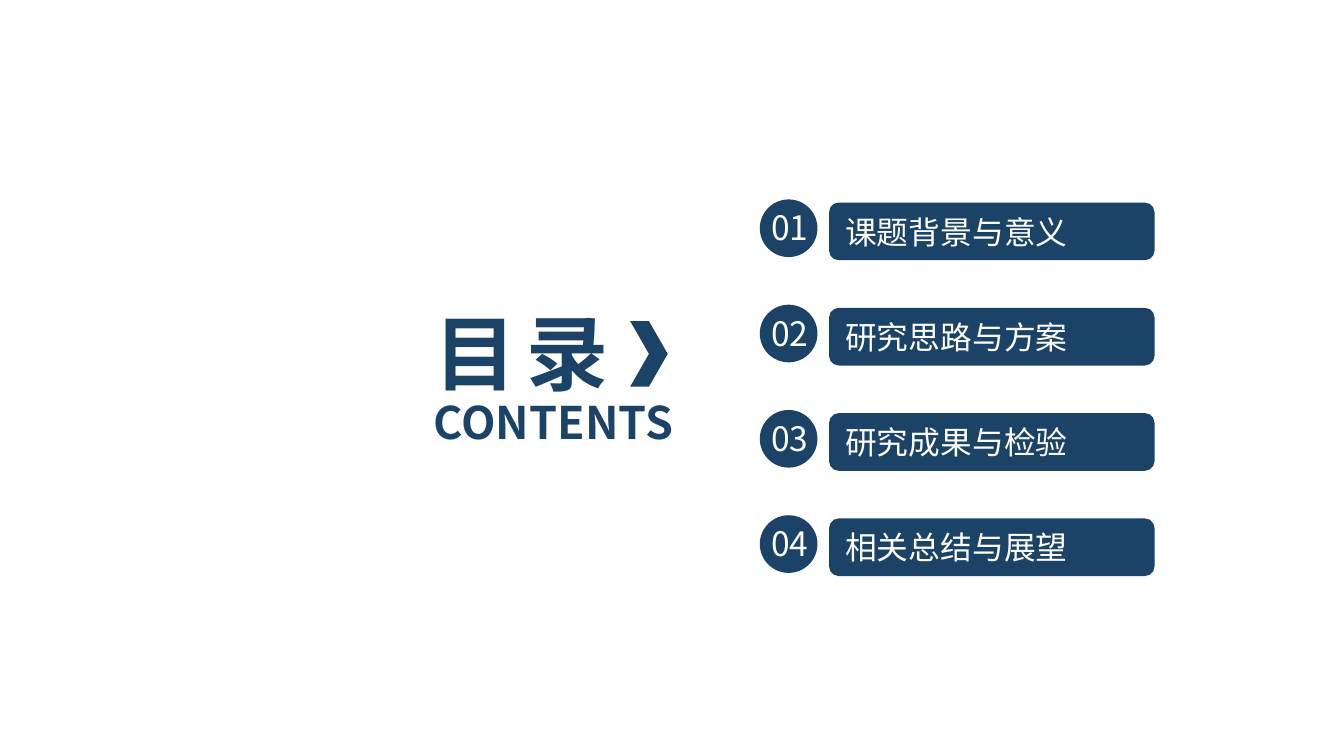
import typing
from dataclasses import dataclass

import lxml.etree
import pptx
import pptx.dml.color
import pptx.enum.shapes
import pptx.enum.text
import pptx.oxml.ns
import pptx.util

Cm = pptx.util.Cm
ALIGN = pptx.enum.text.PP_ALIGN
SHAPE = pptx.enum.shapes.MSO_SHAPE


@dataclass(frozen=True)
class Theme:
    navy: pptx.dml.color.RGBColor = pptx.dml.color.RGBColor(0x1B, 0x43, 0x67)
    white: pptx.dml.color.RGBColor = pptx.dml.color.RGBColor(0xFF, 0xFF, 0xFF)
    font: str = "Noto Sans CJK SC"
    title_size: float = 44
    subtitle_size: float = 24
    number_size: float = 18
    topic_size: float = 17


@dataclass(frozen=True)
class Area:
    """A rectangle in centimetres."""
    left: float
    top: float
    width: float
    height: float

    def lowered(self, distance: float) -> "Area":
        return Area(self.left, self.top + distance, self.width, self.height)

    def lengths(self) -> tuple:
        return Cm(self.left), Cm(self.top), Cm(self.width), Cm(self.height)


@dataclass(frozen=True)
class Topic:
    number: str
    name: str


THEME = Theme()
TOPICS = [
    Topic("01", "课题背景与意义"),
    Topic("02", "研究思路与方案"),
    Topic("03", "研究成果与检验"),
    Topic("04", "相关总结与展望"),
]
TOPIC_STEP = 1.99
BAR = Area(15.67, 3.83, 6.15, 1.09)
CIRCLE = Area(14.36, 3.77, 1.09, 1.09)
NUMBER = Area(14.27, 3.79, 1.32, 1.02)
TITLE = Area(7.95, 5.59, 5.97, 2.13)
SUBTITLE = Area(7.95, 7.34, 5.87, 1.27)
CHEVRON = Area(11.91, 6.07, 0.71, 1.24)


def write(box: typing.Any, text: str, size: float, color: typing.Any,
          bold: bool = False, align: typing.Any = ALIGN.LEFT,
          spacing: float = 0) -> None:
    """Put one formatted line of text into a box."""
    frame = box.text_frame
    frame_format = {
        "word_wrap": True,
        "auto_size": pptx.enum.text.MSO_AUTO_SIZE.SHAPE_TO_FIT_TEXT,
        "vertical_anchor": pptx.enum.text.MSO_ANCHOR.MIDDLE,
    }
    for name, value in frame_format.items():
        setattr(frame, name, value)

    para = frame.paragraphs[0]
    para.alignment = align
    span = para.add_run()
    span.text = text
    font_format = {"name": THEME.font, "size": pptx.util.Pt(size), "bold": bold}
    for name, value in font_format.items():
        setattr(span.font, name, value)
    span.font.color.rgb = color

    # East Asian typeface and letter spacing
    properties = span.font._element
    east_asian = lxml.etree.SubElement(properties, pptx.oxml.ns.qn("a:ea"))
    east_asian.set("typeface", THEME.font)
    if spacing:
        properties.set("spc", str(round(spacing * 100)))


def add_solid(shapes: typing.Any, kind: typing.Any, area: Area) -> typing.Any:
    """Add a navy shape without outline or shadow."""
    shape = shapes.add_shape(kind, *area.lengths())
    shape.shadow.inherit = False
    shape.fill.solid()
    shape.fill.fore_color.rgb = THEME.navy
    shape.line.fill.background()
    return shape


def add_topic(page: typing.Any, topic: Topic, drop: float) -> None:
    """Add a topic bar and its numbered circle."""
    bar = add_solid(page.shapes, SHAPE.ROUNDED_RECTANGLE, BAR.lowered(drop))
    write(bar, topic.name, THEME.topic_size, THEME.white)

    badge = page.shapes.add_group_shape()
    add_solid(badge.shapes, SHAPE.OVAL, CIRCLE.lowered(drop))
    label = badge.shapes.add_textbox(*NUMBER.lowered(drop).lengths())
    write(label, topic.number, THEME.number_size, THEME.white, align=ALIGN.CENTER)


def add_heading(page: typing.Any) -> None:
    """Fill the title, its translation and the pointing chevron."""
    title = page.shapes.title
    names = ("left", "top", "width", "height")
    for name, value in zip(names, TITLE.lengths()):
        setattr(title, name, value)
    write(title, "目 录", THEME.title_size, THEME.navy, bold=True, spacing=-2.2)

    subtitle = page.shapes.add_textbox(*SUBTITLE.lengths())
    write(subtitle, "CONTENTS", THEME.subtitle_size, THEME.navy, bold=True)
    add_solid(page.shapes, SHAPE.CHEVRON, CHEVRON)


def main() -> None:
    deck = pptx.Presentation()
    deck.slide_width, deck.slide_height = Cm(25.4), Cm(14.29)
    title_only = deck.slide_layouts[5]
    page = deck.slides.add_slide(title_only)

    # Heading on the left, topics on the right
    add_heading(page)
    for index, topic in enumerate(TOPICS):
        add_topic(page, topic, index * TOPIC_STEP)

    deck.save("out.pptx")


if __name__ == "__main__":
    main()
